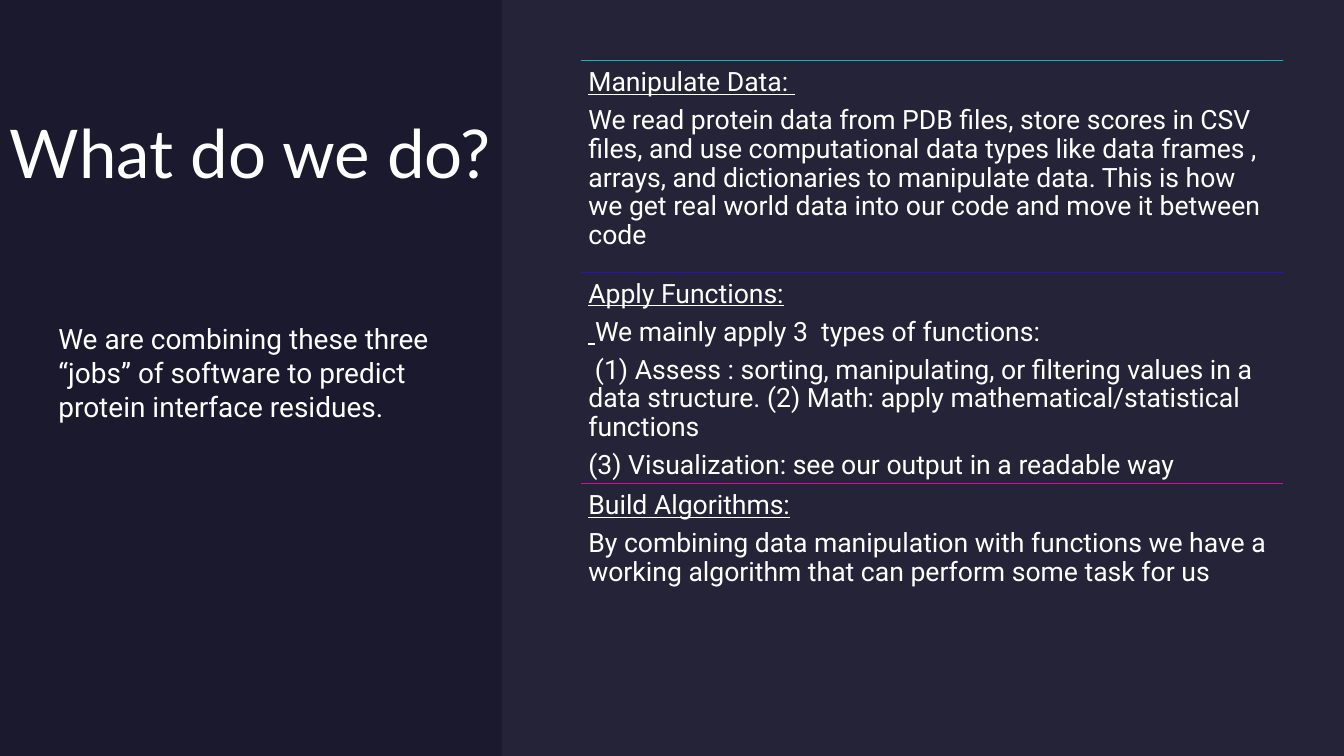
from lxml import etree
from pptx import Presentation
from pptx.dml.color import RGBColor
from pptx.enum.shapes import MSO_CONNECTOR, MSO_SHAPE
from pptx.enum.text import MSO_ANCHOR, PP_ALIGN
from pptx.oxml.ns import qn
from pptx.util import Cm, Pt

RECTANGLE = MSO_SHAPE.RECTANGLE
STRAIGHT = MSO_CONNECTOR.STRAIGHT
TOP, MIDDLE = MSO_ANCHOR.TOP, MSO_ANCHOR.MIDDLE
LEFT = PP_ALIGN.LEFT

COLORS = {
    "night": "1B192E",
    "panel": "E4E3F0",
    "text": "FFFFFF",
    "teal": "12B1BF",
    "blue": "2A0EC9",
    "magenta": "D40AA8",
}
TITLE = {"name": "Lato", "size": Pt(48)}
SUMMARY = {"name": "Roboto", "size": Pt(20)}
JOB = {"name": "Roboto", "size": Pt(19)}
JOB_SPACING = {"line_spacing": 0.9, "space_after": Pt(6.65)}

# Each paragraph is a list of (text, underlined) spans
JOBS = [
    ("teal", [
        [("Manipulate Data: ", True)],
        [("We read protein data from PDB files, store scores in CSV files, and use "
          "computational data types like data frames , arrays, and dictionaries to "
          "manipulate data. This is how we get real world data into our code and "
          "move it between code", False)],
    ]),
    ("blue", [
        [("Apply Functions:", True)],
        [(" ", True), ("We mainly apply 3  types of functions:", False)],
        [(" (1) Assess : sorting, manipulating, or filtering values in a data "
          "structure. (2) Math: apply mathematical/statistical  functions", False)],
        [("(3) Visualization: see our output in a readable way", False)],
    ]),
    ("magenta", [
        [("Build Algorithms:", True)],
        [("By combining data manipulation with functions we have a working "
          "algorithm that can perform some task for us", False)],
    ]),
]


def color(name):
    return RGBColor.from_string(COLORS[name])


def add_text(area, paragraphs, font, inset, anchor=TOP, spacing=None):
    frame = page.shapes.add_textbox(*(Cm(length) for length in area)).text_frame
    frame.word_wrap = True
    frame.vertical_anchor = anchor
    for side, margin in zip(("left", "top", "right", "bottom"), inset):
        setattr(frame, f"margin_{side}", Cm(margin))
    for index, spans in enumerate(paragraphs):
        para = frame.add_paragraph() if index else frame.paragraphs[0]
        para.alignment = LEFT
        for name, value in (spacing or {}).items():
            setattr(para, name, value)
        for text, underlined in spans:
            span = para.add_run()
            span.text = text
            for name, value in {**font, "underline": underlined}.items():
                setattr(span.font, name, value)
            span.font.color.rgb = color("text")


# Slide
deck = Presentation()
deck.slide_width, deck.slide_height = Cm(33.87), Cm(19.05)
page = deck.slides.add_slide(deck.slide_layouts[6])
page.background.fill.solid()
page.background.fill.fore_color.rgb = color("night")

# Dark backdrop and the faint panel on the right
for left, width, fill, opacity in ((0, 33.87, "night", 100), (12.64, 21.23, "panel", 5)):
    panel = page.shapes.add_shape(RECTANGLE, Cm(left), 0, Cm(width), deck.slide_height)
    panel.shadow.inherit = False
    panel.line.fill.background()
    panel.fill.solid()
    panel.fill.fore_color.rgb = color(fill)
    if opacity < 100:
        tint = panel.fill._xPr.find(qn("a:solidFill"))[0]
        etree.SubElement(tint, qn("a:alpha")).set("val", str(opacity * 1000))

# Title and summary
add_text((0.25, 0, 12.57, 7.65), [[("What do we do?", False)]], TITLE, (0, 0, 0, 0), MIDDLE)
add_text((1.22, 7.98, 9.91, 3.58),
         [[("We are combining these three “jobs” of software to predict protein "
            "interface residues.", False)]],
         SUMMARY, (0.25, 0.13, 0.25, 0.13))

# Three jobs, each under its own coloured rule
JOB_LEFT, JOB_TOP, JOB_WIDTH, JOB_HEIGHT = 14.63, 1.53, 17.7, 5.33
for row, (rule_color, paragraphs) in enumerate(JOBS):
    top = JOB_TOP + row * JOB_HEIGHT
    rule = page.shapes.add_connector(
        STRAIGHT, Cm(JOB_LEFT), Cm(top), Cm(JOB_LEFT + JOB_WIDTH), Cm(top))
    rule.line.color.rgb = color(rule_color)
    rule.line.width = Pt(1)
    etree.SubElement(rule._element.spPr, qn("a:effectLst"))
    add_text((JOB_LEFT, top, JOB_WIDTH, JOB_HEIGHT), paragraphs, JOB,
             (0.2, 0.2, 0.2, 0.2), spacing=JOB_SPACING)

deck.save("out.pptx")
